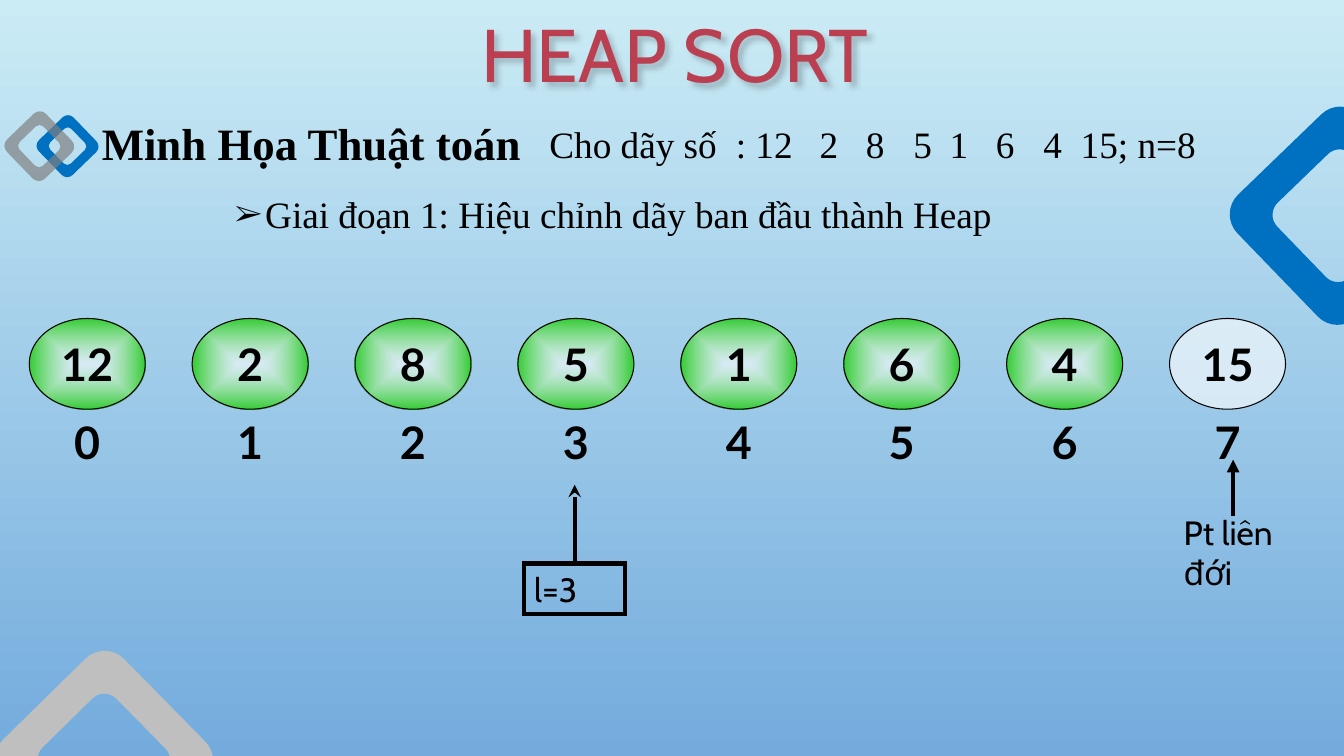
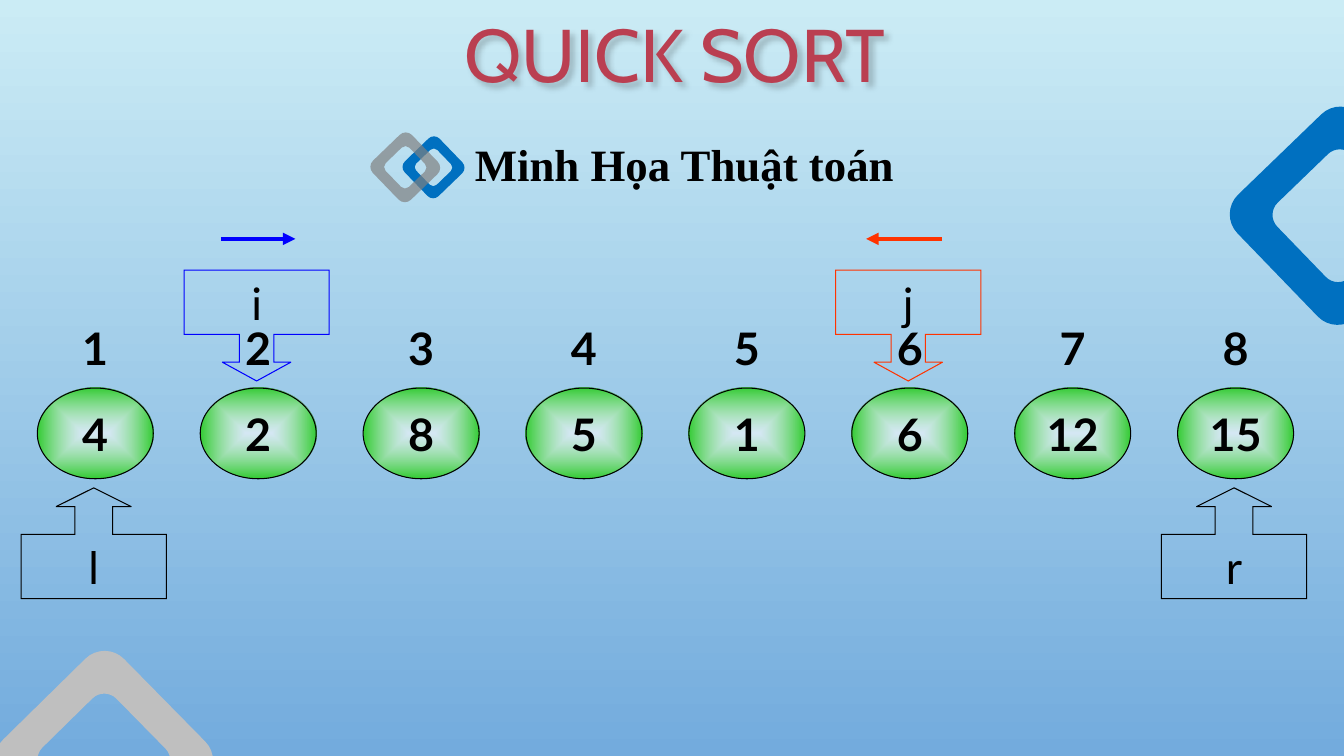
"""Build two slides that illustrate heap sort and quick sort on a row of numbers."""
from dataclasses import dataclass
from typing import Optional

from lxml.etree import SubElement
from pptx import Presentation
from pptx.dml.color import RGBColor
from pptx.enum.shapes import MSO_CONNECTOR, MSO_SHAPE
from pptx.enum.text import MSO_ANCHOR as Anchor, MSO_AUTO_SIZE as AutoSize, PP_ALIGN as Align
from pptx.oxml.ns import qn
from pptx.util import Inches, Pt


@dataclass(frozen=True)
class Theme:
    sky: str = "CBECF5"
    dusk: str = "73ABDD"
    title: str = "BA3F51"
    ink: str = "000000"
    silver: str = "BFBFBF"
    grey: str = "808080"
    blue: str = "0070C0"
    white: str = "FFFFFF"
    green: str = "33CC33"
    forward: str = "0000FF"
    backward: str = "FF3300"
    serif: str = "Times New Roman"
    sans: str = "Lato"
    round_sans: str = "Cabin"
    title_size: float = 53.33
    large: float = 32
    medium: float = 26.67
    small: float = 24


@dataclass(frozen=True)
class Box:
    left: float
    top: float
    width: float
    height: float

    def emu(self) -> tuple:
        return tuple(Inches(v) for v in (self.left, self.top, self.width, self.height))


@dataclass(frozen=True)
class Ring:
    x: float
    y: float
    size: float
    color: str
    rotation: float = 316
    opacity: Optional[int] = None


@dataclass(frozen=True)
class NumberRow:
    left: float
    top: float
    index_top: float
    first_index: int
    values: tuple
    plain: tuple = ()

    def column(self, position: int) -> float:
        return self.left + position * NODE_PITCH


@dataclass(frozen=True)
class Pointer:
    label: str
    position: int
    top: float
    color: str
    upward: bool
    run: Optional[tuple] = None


THEME = Theme()
NODE_WIDTH, NODE_HEIGHT = 1.15, 0.9
NODE_PITCH = 11.31 / 7
CALLOUT_OVERHANG = 0.16
RUN_TOP = 2.37
ARC_CONTROL = 0.55
EDGE_RINGS = (
    Ring(1.03, 7.54, 1.69, THEME.silver, 315.5),
    Ring(13.28, 2.14, 1.69, THEME.blue),
)
NUMBER_TABS = (1.85, 2.68, 3.14, 3.61, 3.97, 4.43, 4.9, 5.27)
HEAP_ROW = NumberRow(0.29, 3.16, 3.93, 0, (12, 2, 8, 5, 1, 6, 4, 15), plain=(7,))
QUICK_ROW = NumberRow(0.37, 3.85, 3, 1, (4, 2, 8, 5, 1, 6, 12, 15))
QUICK_POINTERS = (
    Pointer("r", 7, 4.84, THEME.ink, True),
    Pointer("i", 1, 2.68, THEME.forward, False, (2.19, 2.93)),
    Pointer("j", 5, 2.68, THEME.backward, False, (9.34, 8.59)),
    Pointer("l", 0, 4.84, THEME.ink, True),
)


def rgb(code: str) -> RGBColor:
    return RGBColor.from_string(code)


def set_opacity(parent, percent: int) -> None:
    color = next(parent.iter(qn("a:srgbClr")))
    SubElement(color, qn("a:alpha"), val=str(percent * 1000))


def write(shape, text: str, face: str, size: float, *, bold: bool = False,
          color: str = THEME.ink, align=Align.LEFT, anchor=Anchor.TOP,
          inset_x: float = 0.1, inset_y: float = 0.05):
    frame = shape.text_frame
    frame_format = {
        "word_wrap": True, "auto_size": AutoSize.NONE, "vertical_anchor": anchor,
        "margin_left": Inches(inset_x), "margin_right": Inches(inset_x),
        "margin_top": Inches(inset_y), "margin_bottom": Inches(inset_y),
    }
    for name, value in frame_format.items():
        setattr(frame, name, value)
    paragraph = frame.paragraphs[0]
    paragraph.alignment = align
    paragraph.space_before = Pt(0)
    run = paragraph.add_run()
    run.text = text
    for name, value in {"name": face, "size": Pt(size), "bold": bold}.items():
        setattr(run.font, name, value)
    run.font.color.rgb = rgb(color)
    return paragraph


def write_centred(shape, text: str, bold: bool) -> None:
    write(shape, text, THEME.sans, THEME.large, bold=bold, align=Align.CENTER,
          anchor=Anchor.MIDDLE, inset_x=0, inset_y=0)


def add_outlined(slide, preset, box: Box, color: Optional[str], weight: float = 0.75):
    outlined = slide.shapes.add_shape(preset, *box.emu())
    outlined.shadow.inherit = False
    outlined.fill.background()
    if color is None:
        outlined.line.fill.background()
        return outlined
    outlined.line.color.rgb = rgb(color)
    outlined.line.width = Pt(weight)
    SubElement(outlined._element.spPr.find(qn("a:ln")), qn("a:miter"), lim="800000")
    return outlined


def place(placeholder, box: Box) -> None:
    for name, value in zip(("left", "top", "width", "height"), box.emu()):
        setattr(placeholder, name, value)


def rounded_square(x: float, y: float, half: float, radius: float) -> list:
    points = []
    near, bend = half - radius, half - radius + radius * ARC_CONTROL
    for px, py in ((half, near), (half, bend), (bend, half), (near, half)):
        points.append((px, py))
    turned = list(points)
    for _ in range(3):
        points = [(-py, px) for px, py in points]
        turned += points
    return [(Inches(x + px), Inches(y + py)) for px, py in turned]


def curve_corners(outline) -> None:
    segments = list(outline._element.iter(qn("a:lnTo")))
    for contour in (segments[:15], segments[15:]):
        for corner in range(0, 15, 4):
            first, second, last = contour[corner:corner + 3]
            first.tag = qn("a:cubicBezTo")
            for segment in (second, last):
                first.append(segment[0])
                segment.getparent().remove(segment)


def add_ring(slide, ring: Ring) -> None:
    outer = rounded_square(ring.x, ring.y, ring.size * 0.5, ring.size * 0.16)
    inner = rounded_square(ring.x, ring.y, ring.size * 0.305, ring.size * 0.1)[::-1]
    builder = slide.shapes.build_freeform(*outer[0])
    builder.add_line_segments(outer[1:], close=True)
    builder.move_to(*inner[0])
    builder.add_line_segments(inner[1:], close=True)
    band = builder.convert_to_shape()
    curve_corners(band)
    band.shadow.inherit = False
    band.rotation = ring.rotation
    band.fill.solid()
    band.fill.fore_color.rgb = rgb(ring.color)
    band.line.fill.background()
    if ring.opacity is not None:
        set_opacity(band._element.spPr, ring.opacity)


def add_heading(slide, left: float, top: float) -> None:
    heading = slide.shapes.add_textbox(*Box(left, top, 4.45, 0.55).emu())
    write(heading, "Minh Họa Thuật toán", THEME.serif, THEME.large, bold=True,
          anchor=Anchor.MIDDLE, inset_x=0)


def add_emblem(slide, x: float, y: float) -> None:
    add_ring(slide, Ring(x + 0.28, y, 0.48, THEME.blue))
    add_ring(slide, Ring(x, y, 0.54, THEME.grey, opacity=69))


def add_arrow(slide, start: tuple, end: tuple, color: str, head: str = "triangle"):
    arrow = slide.shapes.add_connector(
        MSO_CONNECTOR.STRAIGHT, *(Inches(v) for v in (*start, *end)))
    arrow.line.color.rgb = rgb(color)
    arrow.line.width = Pt(3)
    properties = arrow._element.spPr
    SubElement(properties.find(qn("a:ln")), qn("a:tailEnd"), type=head)
    SubElement(properties, qn("a:effectLst"))
    return arrow


def fill_node(node, plain: bool) -> None:
    if plain:
        node.fill.solid()
        node.fill.fore_color.rgb = rgb(THEME.white)
        set_opacity(node._element.spPr, 60)
        return
    node.fill.gradient()
    for stop, color in zip(node.fill.gradient_stops, (THEME.white, THEME.green)):
        stop.color.rgb = rgb(color)
    gradient = node._element.spPr.find(qn("a:gradFill"))
    set_opacity(gradient, 60)
    gradient.remove(gradient.find(qn("a:lin")))
    spread = SubElement(gradient, qn("a:path"))
    spread.set("path", "shape")
    SubElement(spread, qn("a:fillToRect"), {side: "50000" for side in "ltrb"})


def add_row(slide, row: NumberRow) -> None:
    for position, value in enumerate(row.values):
        left = row.column(position)
        node = add_outlined(slide, MSO_SHAPE.OVAL,
                            Box(left, row.top, NODE_WIDTH, NODE_HEIGHT), THEME.ink)
        fill_node(node, position in row.plain)
        write_centred(node, str(value), bold=True)
        index = add_outlined(slide, MSO_SHAPE.OVAL,
                             Box(left, row.index_top, NODE_WIDTH, NODE_HEIGHT), None)
        write_centred(index, str(row.first_index + position), bold=True)


def add_pointer(slide, row: NumberRow, pointer: Pointer) -> None:
    preset = MSO_SHAPE.UP_ARROW_CALLOUT if pointer.upward else MSO_SHAPE.DOWN_ARROW_CALLOUT
    left = row.column(pointer.position) - CALLOUT_OVERHANG
    callout = add_outlined(slide, preset, Box(left, pointer.top, 1.44, 1.1), pointer.color)
    shaft = 0.34 if pointer.upward else 0.31
    for number, value in enumerate((shaft, shaft, 0.17, 0.58)):
        callout.adjustments[number] = value
    write_centred(callout, pointer.label, bold=False)
    if pointer.run:
        start, end = pointer.run
        add_arrow(slide, (start, RUN_TOP), (end, RUN_TOP), pointer.color)


def start_slide(deck, layout: int, name: str):
    slide = deck.slides.add_slide(deck.slide_layouts[layout])
    title = slide.shapes.title
    place(title, Box(0, 0, 13.39, 1.05))
    write(title, name, THEME.round_sans, THEME.title_size, color=THEME.title,
          align=Align.CENTER, anchor=Anchor.MIDDLE)
    effects = SubElement(title._element.spPr, qn("a:effectLst"))
    shadow = SubElement(effects, qn("a:outerShdw"), blurRad="50800", dist="38100", dir="2700000")
    SubElement(shadow, qn("a:srgbClr"), val=THEME.ink)
    set_opacity(shadow, 20)
    for ring in EDGE_RINGS:
        add_ring(slide, ring)
    return slide


def build_heap_slide(deck) -> None:
    slide = start_slide(deck, 1, "HEAP SORT")
    add_heading(slide, 1.01, 1.14)
    add_emblem(slide, 0.39, 1.45)
    sequence = slide.shapes.add_textbox(*Box(5.35, 1.15, 6.88, 0.67).emu())
    numbers = write(sequence, "Cho dãy số\t: 12\t2\t8\t5\t1\t6\t4\t15; n=8",
                    THEME.serif, THEME.medium)
    tabs = SubElement(numbers._p.get_or_add_pPr(), qn("a:tabLst"))
    for stop in NUMBER_TABS:
        SubElement(tabs, qn("a:tab"), pos=str(Inches(stop)), algn="l")
    phase = slide.placeholders[1]
    place(phase, Box(2.23, 1.85, 8.21, 0.55))
    step = write(phase, "Giai đoạn 1: Hiệu chỉnh dãy ban đầu thành Heap",
                 THEME.serif, THEME.medium)
    bullet = step._p.get_or_add_pPr()
    for name, value in {"marL": Inches(0.3), "indent": -Inches(0.3)}.items():
        bullet.set(name, str(value))
    SubElement(bullet, qn("a:buSzPct"), val="80000")
    SubElement(bullet, qn("a:buFont"), typeface=THEME.serif)
    SubElement(bullet, qn("a:buChar"), char="➢")
    add_row(slide, HEAP_ROW)
    current = add_outlined(slide, MSO_SHAPE.RECTANGLE, Box(5.2, 5.59, 1, 0.5), THEME.ink, 3)
    write(current, "l=3", THEME.round_sans, THEME.small, anchor=Anchor.MIDDLE)
    add_arrow(slide, (5.7, 5.59), (5.7, 4.81), THEME.ink, "stealth").begin_connect(current, 0)
    linked = slide.shapes.add_textbox(*Box(11.64, 5.03, 1.22, 0.91).emu())
    write(linked, "Pt liên đới", THEME.round_sans, THEME.small)
    add_arrow(slide, (12.23, 5.12), (12.23, 4.56), THEME.ink)


def build_quick_slide(deck) -> None:
    slide = start_slide(deck, 5, "QUICK SORT")
    add_heading(slide, 4.71, 1.35)
    add_emblem(slide, 4.02, 1.66)
    add_row(slide, QUICK_ROW)
    for pointer in QUICK_POINTERS:
        add_pointer(slide, QUICK_ROW, pointer)


def main() -> None:
    deck = Presentation()
    deck.slide_width, deck.slide_height = Inches(13.33), Inches(7.5)
    backdrop = deck.slide_master.background.fill
    backdrop.gradient()
    backdrop.gradient_angle = 270
    for stop, color in zip(backdrop.gradient_stops, (THEME.sky, THEME.dusk)):
        stop.color.rgb = rgb(color)
    build_heap_slide(deck)
    build_quick_slide(deck)
    deck.save("out.pptx")


if __name__ == "__main__":
    main()
